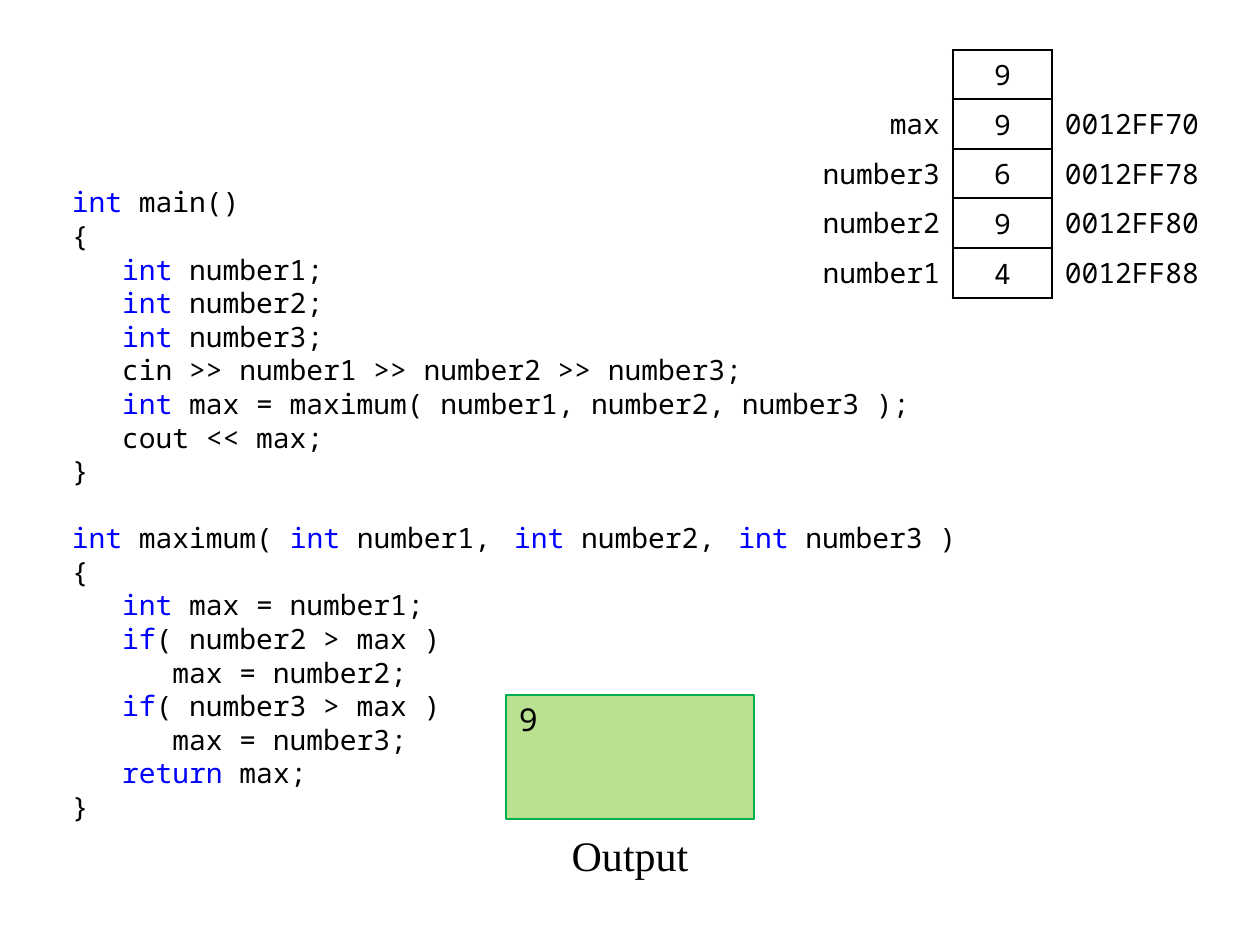
"""Build a slide tracing the memory of a maximum() program."""
from dataclasses import dataclass
from itertools import pairwise

from lxml import etree
from pptx import Presentation
from pptx import util as u
from pptx.dml.color import RGBColor
from pptx.enum import shapes, text
from pptx.oxml.ns import qn

SCALE = 914400 / 126
NO_STYLE = "{2D5ABB26-0587-4C30-8999-92F81FD0307C}"
LEFT, CENTER, RIGHT = text.PP_ALIGN.LEFT, text.PP_ALIGN.CENTER, text.PP_ALIGN.RIGHT
TOP, MIDDLE = text.MSO_ANCHOR.TOP, text.MSO_ANCHOR.MIDDLE


@dataclass(frozen=True)
class Theme:
    """Hold the colours, fonts and type sizes."""
    ink: str = "000000"
    keyword: str = "0000FF"
    screen: str = "BAE18F"
    frame: str = "00B050"
    mono: str = "Noto Sans Mono"
    serif: str = "Times New Roman"
    code: float = 16
    gap: float = 11
    result: float = 18
    caption: float = 24
    leading: float = 19.2
    thick: float = 1.5
    thin: float = 1


T = Theme()
KEYWORDS = {"int", "if", "return"}
MAIN = """int| main()
{
   |int |number1;
   |int |number2;
   |int |number3;
   cin >> number1 >> number2 >> number3;
   |int |max = maximum( number1, number2, number3 );
   cout << max;
}"""
MAXIMUM = """int| maximum( |int |number1,|  |int |number2,|  |int |number3 )
{
   |int| max = number1;
   |if|( number2 > max )
      max = number2;
   |if|( number3 > max )
      max = number3;
   |return| max;
}"""
MEMORY = [
    ("", "9", ""),
    ("max", "9", "0012FF70"),
    ("number3", "6", "0012FF78"),
    ("number2", "9", "0012FF80"),
    ("number1", "4", "0012FF88"),
]
MEMORY_LEFT, MEMORY_TOP, MEMORY_HEIGHT = 804, 50, 248
MEMORY_COLUMNS = (149, 99, 174)
ROW_EDGES = [MEMORY_TOP + MEMORY_HEIGHT * i // len(MEMORY) for i in range(len(MEMORY) + 1)]


def px(n):
    """Turn pixels into EMU."""
    return u.Emu(round(n * SCALE))


def add_run(p, words, size=T.code, color=T.ink, font=T.mono):
    """Add one styled run."""
    r = p.add_run()
    r.text = words
    r.font.size = u.Pt(size)
    r.font.name = font
    r.font.color.rgb = RGBColor.from_string(color)


def set_frame(tf, margins, anchor=TOP, wrap=True):
    """Set insets (left, top, right, bottom), anchor and wrapping."""
    tf.margin_left, tf.margin_top, tf.margin_right, tf.margin_bottom = map(px, margins)
    tf.vertical_anchor = anchor
    tf.word_wrap = wrap


def add_label(slide, box, words, margins=(0, 0, 0, 0), anchor=MIDDLE, **style):
    """Add a centred one-line text box."""
    tf = slide.shapes.add_textbox(*map(px, box)).text_frame
    set_frame(tf, margins, anchor)
    p = tf.paragraphs[0]
    p.alignment = CENTER
    add_run(p, words, **style)


def add_code(slide, box, functions):
    """Add code with coloured keywords and a line's gap between functions."""
    tf = slide.shapes.add_textbox(*map(px, box)).text_frame
    set_frame(tf, (13, 10, 13, 6))
    p = None
    for index, function in enumerate(functions):
        for number, line in enumerate(function.splitlines()):
            p = tf.add_paragraph() if p else tf.paragraphs[0]
            p.line_spacing = u.Pt(T.leading)
            if index and not number:
                p.space_before = u.Pt(T.leading)
            for part in line.split("|"):
                color = T.keyword if part.strip() in KEYWORDS else T.ink
                add_run(p, part, T.gap if part == "  " else T.code, color)


def add_screen(slide, box, words):
    """Add the framed output screen."""
    sp = slide.shapes.add_shape(shapes.MSO_SHAPE.RECTANGLE, *map(px, box))
    sp.shadow.inherit = False
    sp.fill.solid()
    sp.fill.fore_color.rgb = RGBColor.from_string(T.screen)
    sp.line.color.rgb = RGBColor.from_string(T.frame)
    sp.line.width = u.Pt(T.thick)
    set_frame(sp.text_frame, (13, 5, 13, 6))
    p = sp.text_frame.paragraphs[0]
    p.alignment = LEFT
    add_run(p, words, T.result)


def set_borders(cell, **widths):
    """Draw the given cell sides, named L, R, T and B."""
    tc_pr = cell._tc.get_or_add_tcPr()
    for side in "LRTB":
        if side in widths:
            ln = etree.SubElement(tc_pr, qn(f"a:ln{side}"), w=str(u.Pt(widths[side])))
            fill = etree.SubElement(ln, qn("a:solidFill"))
            etree.SubElement(fill, qn("a:srgbClr"), val=T.ink)


def fill_cell(cell, words, margins, align):
    """Set a cell's insets, clear fill and text."""
    cell.margin_left, cell.margin_top, cell.margin_right, cell.margin_bottom = map(px, margins)
    cell.vertical_anchor = MIDDLE
    cell.fill.background()
    if words:
        p = cell.text_frame.paragraphs[0]
        p.alignment = align
        add_run(p, words)


def add_memory(slide):
    """Add the memory table and its stored values."""
    box = (MEMORY_LEFT, MEMORY_TOP, sum(MEMORY_COLUMNS), MEMORY_HEIGHT)
    table = slide.shapes.add_table(len(MEMORY), len(MEMORY_COLUMNS), *map(px, box)).table
    table.first_row = table.horz_banding = False
    table._tbl.tblPr.find(qn("a:tableStyleId")).text = NO_STYLE
    for column, width in zip(table.columns, MEMORY_COLUMNS):
        column.width = px(width)
    last = len(MEMORY) - 1
    value_left = MEMORY_LEFT + MEMORY_COLUMNS[0] + 25
    for i, ((name, value, address), (top, bottom)) in enumerate(zip(MEMORY, pairwise(ROW_EDGES))):
        table.rows[i].height = px(bottom - top)
        label, store, place = (table.cell(i, j) for j in range(3))
        set_borders(label, R=T.thick)
        set_borders(store, L=T.thick, R=T.thick, T=T.thin if i else T.thick,
                    B=T.thin if i < last else T.thick)
        set_borders(place, L=T.thick)
        fill_cell(label, name, (8, 5, 13, 5), RIGHT)
        fill_cell(store, "", (8, 5, 8, 5), CENTER)
        fill_cell(place, address, (13, 5, 10, 5), LEFT)
        add_label(slide, (value_left, top, 49, bottom - top), value)


def main():
    """Build and save the slide."""
    prs = Presentation()
    prs.slide_width, prs.slide_height = px(1260), px(945)
    slide = prs.slides.add_slide(prs.slide_layouts[6])
    add_code(slide, (59, 175, 1017, 670), (MAIN, MAXIMUM))
    add_screen(slide, (506, 695, 248, 124), "9")
    add_label(slide, (506, 820, 248, 74), "Output", (13, 10, 13, 6), TOP,
              size=T.caption, font=T.serif)
    add_memory(slide)
    prs.save("out.pptx")


if __name__ == "__main__":
    main()
